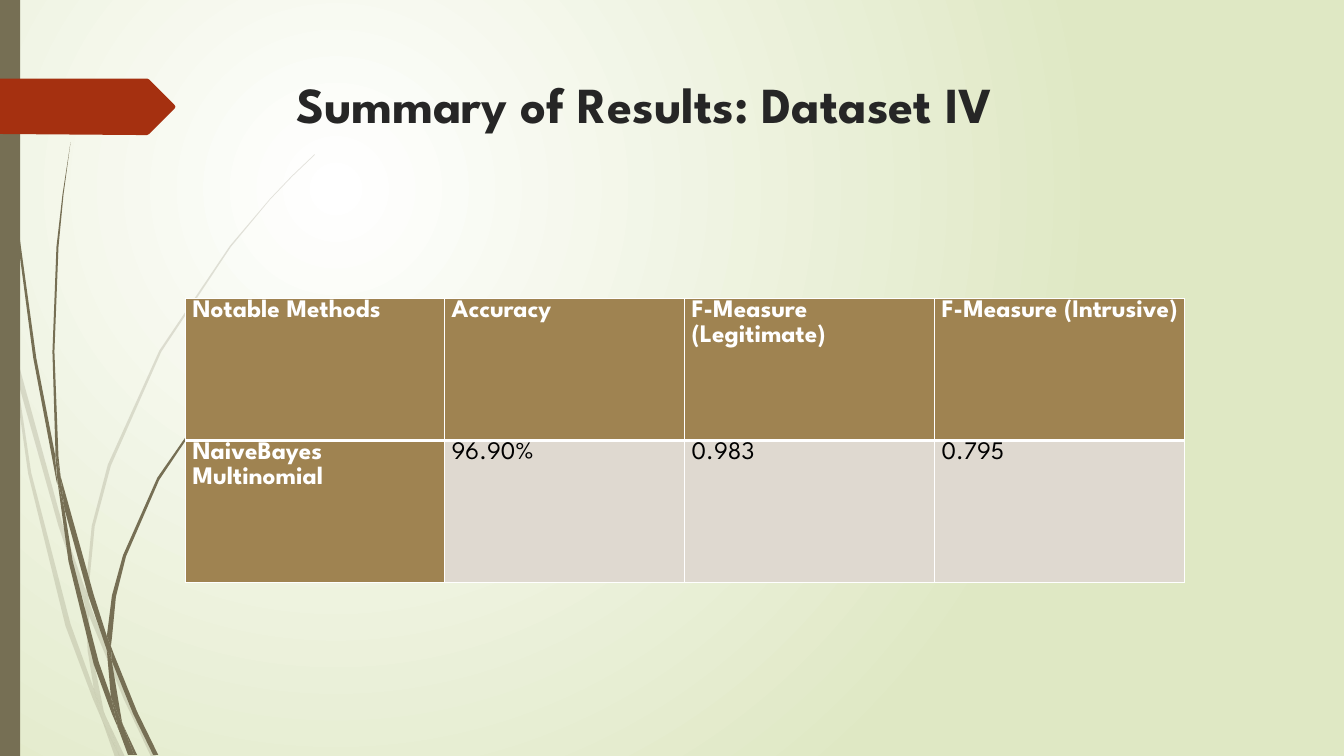
from lxml import etree
from pptx import Presentation
from pptx.dml.color import RGBColor
from pptx.enum.shapes import MSO_SHAPE
from pptx.enum.text import MSO_ANCHOR, PP_ALIGN
from pptx.oxml import parse_xml
from pptx.oxml.ns import qn
from pptx.util import Inches, Pt

RECT = MSO_SHAPE.RECTANGLE
TOP = MSO_ANCHOR.TOP
LEFT = PP_ALIGN.LEFT
NS = "http://schemas.openxmlformats.org/drawingml/2006/main"

COLORS = {
    "white": "FFFFFF", "pale": "DFE8C4", "olive": "766F54", "rust": "A53010",
    "ink": "262626", "black": "000000", "gold": "9F8351", "sand": "DFD9D0",
}

# Outlines as x, y pairs in inches
FAINT = [
    (.11, 3.5, .09, 3.22, 0, 2.82, 0, 2.99, .1, 3.44),
    (.58, 5.22, .84, 5.99, .85, 5.86, .62, 5.2, .14, 3.45, .17, 3.76),
    (.92, 6.07, .88, 5.96, .88, 6.1, 1.23, 6.94, 1.5, 7.51, 1.55, 7.51, 1.27, 6.92),
    (1.19, 7.51, 1.24, 7.51, 1.05, 7.11),
    (.93, 6.83, .7, 6.19, .31, 4.69, .17, 3.76, .11, 3.5, .28, 4.7, .65, 6.21,
     .92, 6.93, 1.01, 7.14, .99, 7.07),
    (.84, 5.99, .87, 6.46, .93, 6.83, .96, 6.92, 1.05, 7.11, 1.03, 7.06, .91, 6.46,
     .88, 6.1, .88, 6.08),
    (.88, 5.84, .94, 5.22, 1.1, 4.62, 1.6, 3.49, 2.29, 2.45, 2.68, 1.98, 2.9, 1.75,
     3.12, 1.54, 3.12, 1.53, 2.89, 1.75, 2.68, 1.97, 2.28, 2.44, 1.58, 3.48,
     1.07, 4.61, .91, 5.22, .85, 5.84, .85, 5.86, .88, 5.96),
    (1.01, 7.14, 1.14, 7.51, 1.19, 7.51),
    (.88, 6.08, .88, 6.1, .88, 5.96, .85, 5.86, .84, 5.99),
    (.96, 6.92, .93, 6.83, .99, 7.07, 1.01, 7.14, 1.19, 7.51, 1.05, 7.11),
]
DARK = [
    (.07, 1.1, .17, 2.33, .33, 3.55, .56, 4.77, .57, 4.81, .55, 4.57, .55, 4.53,
     .36, 3.55, .19, 2.32, .08, 1.09, .05, .48, .04, 0, .03, 0, .04, .48),
    (.88, 5.92, 1.06, 6.45, 1.06, 6.31, .93, 5.9, .6, 4.72, .64, 5.05),
    (1.13, 6.49, 1.1, 6.41, 1.11, 6.56, 1.32, 7.08, 1.52, 7.49, 1.57, 7.49, 1.36, 7.06),
    (1.1, 6.91, .98, 6.57, .72, 5.56, .64, 5.05, .57, 4.77, .68, 5.57, .93, 6.59,
     1.11, 7.08, 1.17, 7.22, 1.16, 7.17),
    (.6, 4.72, .58, 4.53, .54, 3.49, .58, 2.45, .63, 1.93, .7, 1.41, .62, 1.93,
     .56, 2.45, .52, 3.49, .55, 4.49),
    (1.33, 7.49, 1.36, 7.49, 1.22, 7.19),
    (.57, 4.77, .64, 5.05, .6, 4.72, .55, 4.49, .55, 4.53),
    (1.11, 6.33, 1.15, 5.92, 1.25, 5.52, 1.58, 4.76, 2.05, 4.06, 2.31, 3.74,
     2.45, 3.59, 2.61, 3.44, 2.6, 3.44, 2.45, 3.58, 2.31, 3.73, 2.04, 4.05,
     1.56, 4.74, 1.22, 5.51, 1.11, 5.91, 1.06, 6.31, 1.1, 6.41),
    (1.17, 7.22, 1.27, 7.49, 1.31, 7.49),
    (1.06, 6.45, 1.1, 6.91, 1.16, 7.06, 1.22, 7.19, 1.21, 7.16, 1.11, 6.56, 1.09, 6.51),
    (1.06, 6.45, 1.09, 6.51, 1.11, 6.56, 1.1, 6.41, 1.06, 6.31),
    (1.16, 7.06, 1.1, 6.91, 1.16, 7.17, 1.17, 7.22, 1.3, 7.49, 1.33, 7.49, 1.22, 7.19),
]
FLAG = (1.73, 1.08, 1.48, 1.33, 1.46, 1.34, 1.36, 1.34, 0, 1.33, 0, .78,
        1.46, .78, 1.48, .79, 1.73, 1.04, 1.74, 1.06)

ROWS = [
    ["Notable Methods", "Accuracy", "F-Measure (Legitimate)", "F-Measure (Intrusive)"],
    ["NaiveBayes Multinomial", "96.90%", "0.983", "0.795"],
]


class Deck:
    font = "League Spartan"

    def __init__(self, wide, high):
        self.prs = Presentation()
        self.prs.slide_width, self.prs.slide_height = Inches(wide), Inches(high)
        self.slide = self.prs.slides.add_slide(self.prs.slide_layouts[6])
        self.shapes = self.slide.shapes

    def color(self, name):
        return RGBColor.from_string(COLORS[name])

    def glow(self, inner, outer):
        fill = self.slide.background.fill
        fill.gradient()
        for stop, name in zip(fill.gradient_stops, (inner, outer)):
            stop.color.rgb = self.color(name)
        first, last = fill.gradient_stops
        first.position, last.position = 0, 1
        line = self.slide.element.find(".//" + qn("a:lin"))
        line.getparent().replace(line, parse_xml(
            f'<a:path xmlns:a="{NS}" path="circle"><a:fillToRect '
            'l="50000" t="50000" r="100000" b="100000"/></a:path>'))

    def paint(self, shape, name, alpha=None):
        shape.shadow.inherit = False
        shape.fill.solid()
        shape.fill.fore_color.rgb = self.color(name)
        shape.line.fill.background()
        if alpha:
            tint = shape.element.spPr.find(".//" + qn("a:srgbClr"))
            etree.SubElement(tint, qn("a:alpha"), val=str(alpha * 1000))

    def rect(self, box, name):
        self.paint(self.shapes.add_shape(RECT, *map(Inches, box)), name)

    def free(self, flat, name, alpha=None, home=None):
        pts = [(Inches(x), Inches(y)) for x, y in zip(flat[::2], flat[1::2])]
        pen = (home or self.shapes).build_freeform(*pts[0], scale=1.0)
        pen.add_line_segments(pts[1:], close=True)
        self.paint(pen.convert_to_shape(), name, alpha)

    def grass(self, blades, alpha=None):
        group = self.shapes.add_group_shape()
        for blade in blades:
            self.free(blade, "olive", alpha, group.shapes)

    def put(self, para, text, size, name, bold):
        para.alignment = LEFT
        run = para.add_run()
        run.text = text
        run.font.name, run.font.size, run.font.bold = self.font, Pt(size), bold
        run.font.color.rgb = self.color(name)

    def text(self, box, text, size, name):
        frame = self.shapes.add_textbox(*map(Inches, box)).text_frame
        frame.word_wrap = True
        frame.vertical_anchor = TOP
        self.put(frame.paragraphs[0], text, size, name, True)

    def edge(self, cell, sides):
        props = cell._tc.get_or_add_tcPr()
        for spot, (side, width) in enumerate(sides.items()):
            props.insert(spot, parse_xml(
                f'<a:ln{side} xmlns:a="{NS}" w="{Pt(width)}"><a:solidFill>'
                f'<a:srgbClr val="{COLORS["white"]}"/></a:solidFill></a:ln{side}>'))

    def table(self, box, rows, widths):
        grid = self.shapes.add_table(len(rows), len(widths), *map(Inches, box)).table
        for col, width in zip(grid.columns, widths):
            col.width = Inches(width)
        for r, row in enumerate(rows):
            for c, text in enumerate(row):
                cell = grid.cell(r, c)
                head = r == 0 or c == 0
                cell.margin_left = cell.margin_right = Inches(.07)
                cell.margin_top = cell.margin_bottom = 0
                cell.vertical_anchor = TOP
                cell.fill.solid()
                cell.fill.fore_color.rgb = self.color("gold" if head else "sand")
                para = cell.text_frame.paragraphs[0]
                para.line_spacing = 1.07
                self.put(para, text, 18, "white" if head else "black", head)
                self.edge(cell, {"L": 1, "R": 1, "T": 3 if r == 1 else 1,
                                 "B": 3 if r == 0 else 1})


def main():
    deck = Deck(13.33, 7.5)
    # Backdrop
    deck.glow("white", "pale")
    deck.grass(FAINT, 20)
    deck.grass(DARK)
    deck.rect((0, 0, .2, 7.5), "olive")
    deck.free(FLAG, "rust")
    # Title
    deck.text((2.84, .68, 9.75, 1.4), "Summary of Results: Dataset IV", 36, "ink")
    # Results
    deck.table((1.84, 2.96, 9.91, 2.82), ROWS, (2.57, 2.38, 2.48, 2.48))
    deck.prs.save("out.pptx")


if __name__ == "__main__":
    main()
